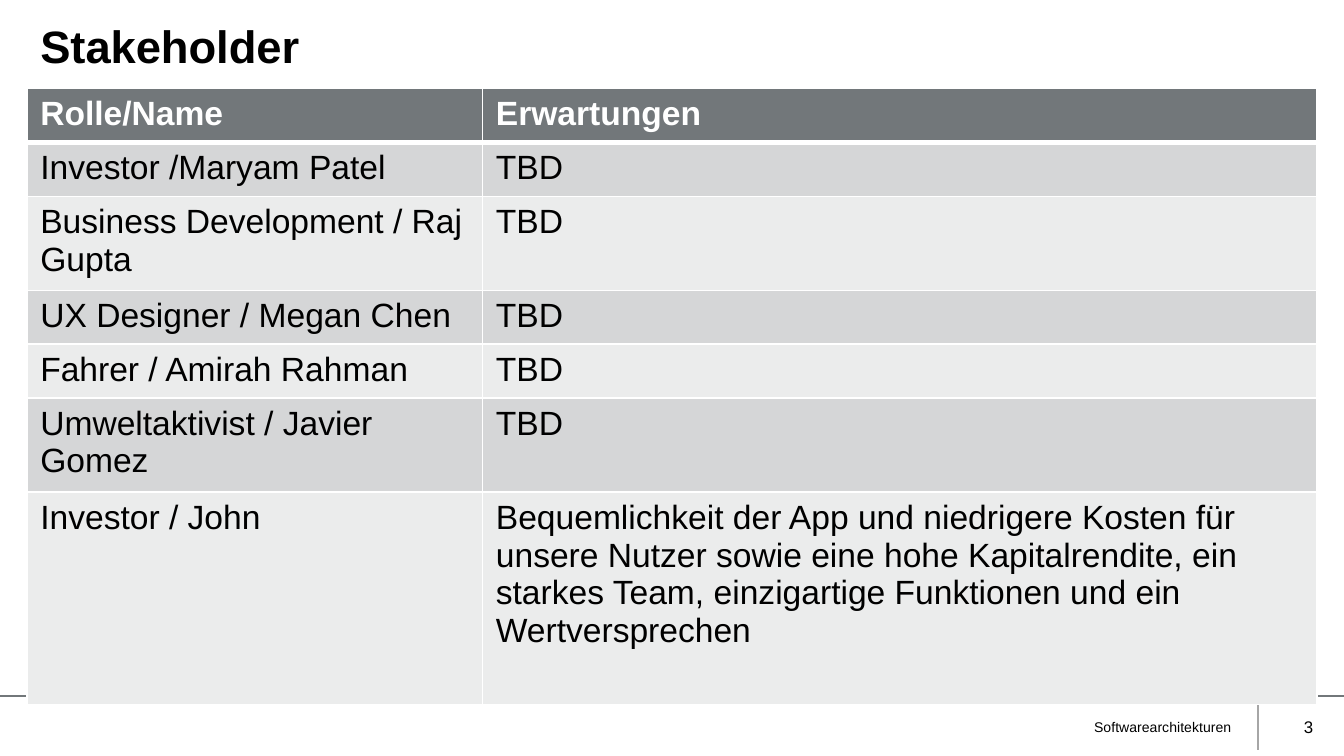
"""Build the stakeholder table slide."""
from dataclasses import dataclass

from lxml import etree
from pptx import Presentation
from pptx.dml.color import RGBColor
from pptx.enum.shapes import MSO_CONNECTOR
from pptx.enum.text import MSO_ANCHOR, PP_ALIGN
from pptx.oxml.ns import qn
from pptx.util import Inches, Pt

STRAIGHT = MSO_CONNECTOR.STRAIGHT
TOP, MIDDLE = MSO_ANCHOR.TOP, MSO_ANCHOR.MIDDLE
LEFT, RIGHT = PP_ALIGN.LEFT, PP_ALIGN.RIGHT
FONT = "Arial"
COLORS = {
    "text": "000000",
    "white": "FFFFFF",
    "header": "72777A",
    "odd_row": "D5D6D7",
    "even_row": "EBECEC",
    "divider": "A6A6A6",
}


@dataclass
class Stakeholder:
    role: str
    expectation: str = "TBD"
    height: float = 0.35
    bottom_margin: float = 0.05


@dataclass
class Rule:
    start: tuple[float, float]
    end: tuple[float, float]
    color: str


@dataclass
class FooterText:
    text: str
    left: float
    width: float
    size: float


STAKEHOLDERS = [
    Stakeholder("Rolle/Name", "Erwartungen"),
    Stakeholder("Investor /Maryam Patel"),
    Stakeholder("Business Development / Raj Gupta"),
    Stakeholder("UX Designer / Megan Chen"),
    Stakeholder("Fahrer / Amirah Rahman"),
    Stakeholder("Umweltaktivist / Javier Gomez"),
    Stakeholder(
        "Investor / John",
        "Bequemlichkeit der App und niedrigere Kosten für unsere Nutzer sowie "
        "eine hohe Kapitalrendite, ein starkes Team, einzigartige Funktionen "
        "und ein Wertversprechen",
        height=0.87,
        bottom_margin=0.33,
    ),
]
COLUMN_WIDTHS = [3.39, 6.21]
RULES = [
    Rule((9.36, 5.21), (9.36, 5.58), "divider"),
    Rule((0, 5.18), (10, 5.18), "header"),
]
FOOTER_TEXTS = [
    FooterText("Softwarearchitekturen", 3.05, 6.21, 7.5),
    FooterText("3", 9.34, 0.53, 9),
]


def rgb(name: str) -> RGBColor:
    """Return a palette color."""
    return RGBColor.from_string(COLORS[name])


def format_text(text_frame, size: float, color: str = "text",
                bold: bool = False, alignment=LEFT) -> None:
    """Format every paragraph and run of a text frame."""
    for paragraph in text_frame.paragraphs:
        paragraph.alignment = alignment
        for run in paragraph.runs:
            run.font.name = FONT
            run.font.size = Pt(size)
            run.font.bold = bold
            run.font.color.rgb = rgb(color)


def add_rule(slide, rule: Rule) -> None:
    """Draw a straight line without a shadow."""
    points = [Inches(value) for value in (*rule.start, *rule.end)]
    connector = slide.shapes.add_connector(STRAIGHT, *points)
    connector.line.color.rgb = rgb(rule.color)
    connector.line.width = Pt(1)
    etree.SubElement(connector._element.spPr, qn("a:effectLst"))


def add_title(slide, text: str) -> None:
    """Place and format the title placeholder."""
    title = slide.shapes.title
    title.left, title.top = Inches(0.2), Inches(0.13)
    title.width, title.height = Inches(9.6), Inches(0.48)
    text_frame = title.text_frame
    text_frame.text = text
    text_frame.vertical_anchor = TOP
    text_frame.paragraphs[0].line_spacing = 0.9
    format_text(text_frame, 24.3, bold=True)


def add_footer_text(slide, footer: FooterText) -> None:
    """Add a right-aligned text to the footer."""
    box = slide.shapes.add_textbox(
        Inches(footer.left), Inches(5.26), Inches(footer.width), Inches(0.3))
    text_frame = box.text_frame
    text_frame.word_wrap = True
    text_frame.vertical_anchor = MIDDLE
    text_frame.text = footer.text
    format_text(text_frame, footer.size, alignment=RIGHT)


def add_borders(cell, top: float, bottom: float) -> None:
    """Give a cell white borders, with top and bottom widths in points."""
    properties = cell._tc.get_or_add_tcPr()
    widths = {"a:lnL": 1, "a:lnR": 1, "a:lnT": top, "a:lnB": bottom}
    for tag, width in widths.items():
        line = etree.SubElement(properties, qn(tag), w=str(int(Pt(width))))
        fill = etree.SubElement(line, qn("a:solidFill"))
        etree.SubElement(fill, qn("a:srgbClr"), val=COLORS["white"])


def add_stakeholder_table(slide, stakeholders: list[Stakeholder]) -> None:
    """Add the table with a header and alternating row fills."""
    height = sum(stakeholder.height for stakeholder in stakeholders)
    table = slide.shapes.add_table(
        len(stakeholders), len(COLUMN_WIDTHS), Inches(0.2), Inches(0.66),
        Inches(sum(COLUMN_WIDTHS)), Inches(height)).table
    for column, width in zip(table.columns, COLUMN_WIDTHS):
        column.width = Inches(width)
    for index, (row, stakeholder) in enumerate(zip(table.rows, stakeholders)):
        row.height = Inches(stakeholder.height)
        is_header = index == 0
        row_fill = "odd_row" if index % 2 else "even_row"
        texts = (stakeholder.role, stakeholder.expectation)
        for cell, text in zip(row.cells, texts):
            cell.text_frame.text = text
            cell.margin_bottom = Inches(stakeholder.bottom_margin)
            format_text(cell.text_frame, 18,
                        "white" if is_header else "text", is_header)
            add_borders(cell, 3 if index == 1 else 1, 3 if is_header else 1)
            cell.fill.solid()
            cell.fill.fore_color.rgb = rgb("header" if is_header else row_fill)


def main() -> None:
    """Create and save the presentation."""
    presentation = Presentation()
    presentation.slide_width = Inches(10)
    presentation.slide_height = Inches(10 * 9 / 16)
    slide = presentation.slides.add_slide(presentation.slide_layouts[5])
    for rule in RULES:
        add_rule(slide, rule)
    add_title(slide, "Stakeholder")
    for footer in FOOTER_TEXTS:
        add_footer_text(slide, footer)
    add_stakeholder_table(slide, STAKEHOLDERS)
    presentation.save("out.pptx")


if __name__ == "__main__":
    main()
